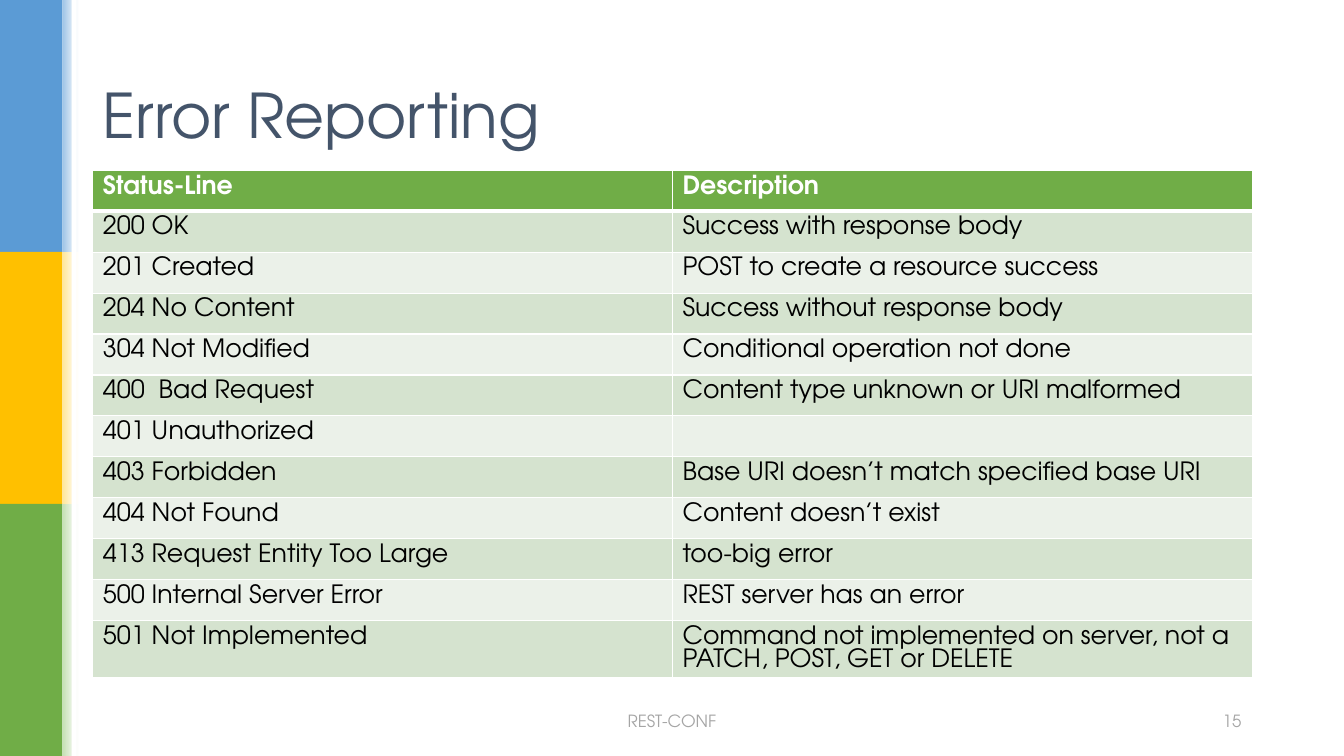
from lxml.etree import SubElement
from pptx import Presentation
from pptx.dml.color import RGBColor
from pptx.enum.shapes import MSO_SHAPE
from pptx.enum.text import MSO_ANCHOR, MSO_AUTO_SIZE, PP_ALIGN
from pptx.oxml.ns import qn
from pptx.util import Inches, Pt

FONT = "TeX Gyre Adventor"
WHITE = "FFFFFF"
GREEN = "70AD47"
ROW_FILLS = ["EBF1E9", "D5E3CF"]
BANDS = [("5B9BD5", "9DC3E6"), ("FFC000", "FFE699"), (GREEN, "C5E0B4")]
STATUS_ROWS = [
    ("Status-Line", "Description"),
    ("200 OK", "Success with response body"),
    ("201 Created", "POST to create a resource success"),
    ("204 No Content", "Success without response body"),
    ("304 Not Modified", "Conditional operation not done"),
    ("400  Bad Request", "Content type unknown or URI malformed"),
    ("401 Unauthorized", ""),
    ("403 Forbidden", "Base URI doesn’t match specified base URI"),
    ("404 Not Found", "Content doesn’t exist"),
    ("413 Request Entity Too Large", "too-big error"),
    ("500 Internal Server Error", "REST server has an error"),
    ("501 Not Implemented",
     "Command not implemented on server, not a PATCH, POST, GET or DELETE"),
]


def color(value):
    return RGBColor.from_string(value)


def place(shape, left, top, width, height):
    shape.left, shape.top = Inches(left), Inches(top)
    shape.width, shape.height = Inches(width), Inches(height)


def write(frame, text, size, text_color, align=PP_ALIGN.LEFT, bold=False):
    para = frame.paragraphs[0]
    para.alignment = align
    span = para.add_run()
    span.text = text
    span.font.name = FONT
    span.font.size = Pt(size)
    span.font.bold = bold
    span.font.color.rgb = color(text_color)


def add_bar(page, left, top, width, height, start, end=None):
    bar = page.shapes.add_shape(
        MSO_SHAPE.RECTANGLE, Inches(left), Inches(top), Inches(width), Inches(height))
    bar.shadow.inherit = False
    bar.line.fill.background()
    if end is None:
        bar.fill.solid()
        bar.fill.fore_color.rgb = color(start)
        return
    bar.fill.gradient()
    bar.fill.gradient_angle = 0
    for stop, position, value in zip(bar.fill.gradient_stops, (0, 1), (start, end)):
        stop.position = position
        stop.color.rgb = color(value)


def add_side_bands(page):
    height = 7.5 / len(BANDS)
    for index, (solid, tint) in enumerate(BANDS):
        add_bar(page, 0, index * height, 0.62, height, solid)
        add_bar(page, 0.62, index * height, 0.16, height, tint, WHITE)
    add_bar(page, 0.71, 0, 0.05, 7.5, WHITE)


def add_title(page, text):
    title = page.shapes.title
    place(title, 0.92, 0.4, 11.5, 1.45)
    title.text_frame.auto_size = MSO_AUTO_SIZE.NONE
    title.text_frame.vertical_anchor = MSO_ANCHOR.MIDDLE
    write(title.text_frame, text, 44, "44546A")


def set_borders(cell, top, bottom):
    properties = cell._tc.get_or_add_tcPr()
    for side, points in (("L", 1), ("R", 1), ("T", top), ("B", bottom)):
        line = SubElement(properties, qn(f"a:ln{side}"), w=str(Pt(points)))
        fill = SubElement(line, qn("a:solidFill"))
        SubElement(fill, qn("a:srgbClr"), val=WHITE)


def add_status_table(page):
    table = page.shapes.add_table(
        len(STATUS_ROWS), 2, Inches(0.92), Inches(1.69),
        Inches(11.5), Inches(0.41 * len(STATUS_ROWS))).table
    for row_index, texts in enumerate(STATUS_ROWS):
        table.rows[row_index].height = Inches(0.406)
        header = row_index == 0
        for cell, text in zip(table.rows[row_index].cells, texts):
            set_borders(cell, 3 if row_index == 1 else 1, 3 if header else 1)
            cell.fill.solid()
            cell.fill.fore_color.rgb = color(GREEN if header else ROW_FILLS[row_index % 2])
            if text:
                write(cell.text_frame, text, 18, WHITE if header else "000000", bold=header)


def add_footer(page, text, left, width, align):
    box = page.shapes.add_textbox(Inches(left), Inches(6.95), Inches(width), Inches(0.4))
    box.text_frame.word_wrap = True
    box.text_frame.vertical_anchor = MSO_ANCHOR.MIDDLE
    write(box.text_frame, text, 12, "A5A5A5", align)


def main():
    deck = Presentation()
    deck.slide_width, deck.slide_height = Inches(13.33), Inches(7.5)
    page = deck.slides.add_slide(deck.slide_layouts[5])
    add_side_bands(page)
    add_status_table(page)
    add_title(page, "Error Reporting")
    add_footer(page, "REST-CONF", 5.08, 3.17, PP_ALIGN.CENTER)
    add_footer(page, "15", 8.83, 3.58, PP_ALIGN.RIGHT)
    deck.save("out.pptx")


main()
